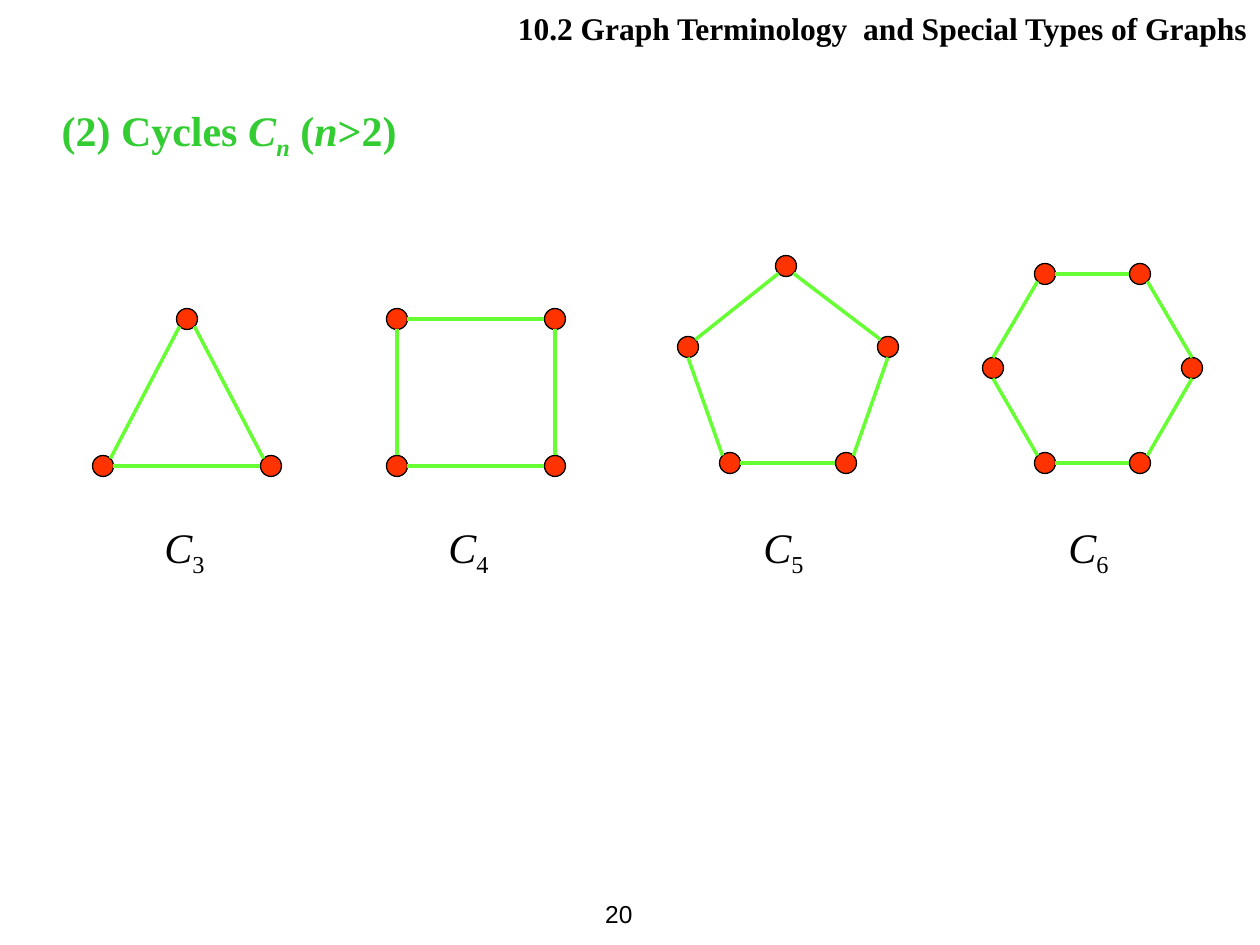
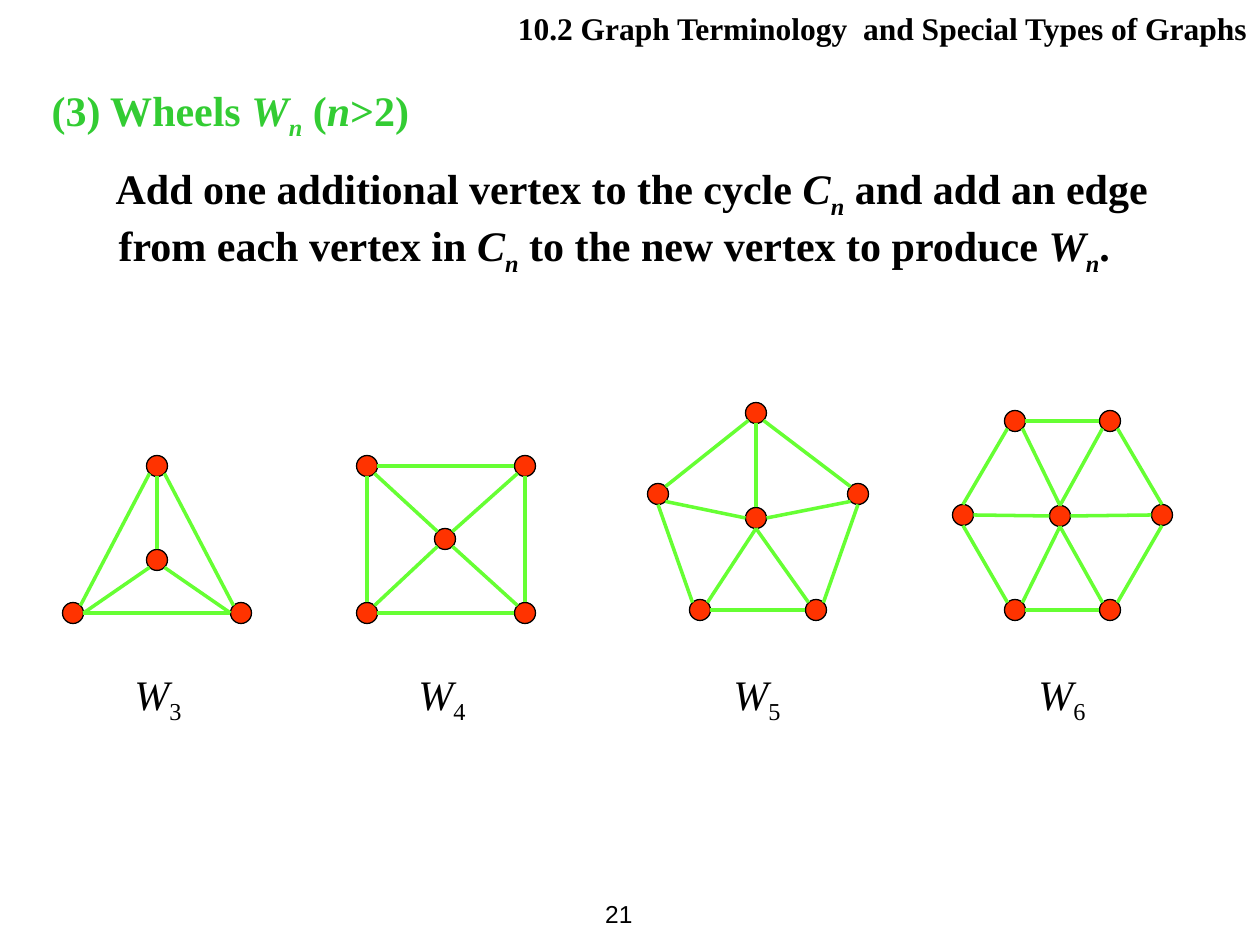
"""Build two slides on special graphs: cycles and wheels."""
from lxml.etree import SubElement
from pptx import Presentation
from pptx.dml.color import RGBColor
from pptx.enum.shapes import MSO_CONNECTOR, MSO_SHAPE
from pptx.enum.text import MSO_ANCHOR, MSO_AUTO_SIZE, PP_ALIGN
from pptx.oxml.ns import qn
from pptx.util import Emu, Pt

HEADER = "10.2 Graph Terminology  and Special Types of Graphs"
SERIF, SANS = "Times New Roman", "Arial"
BLACK, GREEN, EDGE, NODE = "000000", "33CC33", "66FF33", "FF3300"
NODE_SIZE, INDENT = 21, 67

# In texts, * switches italic and _ switches subscript.
SLIDES = [
    dict(number="20", heading="(2) Cycles *C_n_* (*n*>2)", body=None,
         box=(49, 98, 1160, 140), letter="C", label_width=94,
         shift=(0, 0), hub=False),
    dict(number="21", heading="(3) Wheels *W_n_* (*n*>2)",
         body="Add one additional vertex to the cycle *C_n_* and add an edge "
              "from each vertex in *C_n_* to the new vertex to produce *W_n_*.",
         box=(39, 78, 1160, 190), letter="W", label_width=108,
         shift=(-30, 147), hub=True),
]

# Edges run from vertex.side to vertex.side, with sides as compass points.
GRAPHS = [
    dict(label_x=152, hub=(187, 413),
         vertices=dict(bl=(103, 466), br=(271, 466), top=(187, 319)),
         rim="bl.ne-top.sw bl.e-br.w br.nw-top.se",
         spokes="bl.e-hub.sw br.w-hub.se hub.n-top.s"),
    dict(label_x=436, hub=(475, 392),
         vertices=dict(bl=(397, 466), br=(555, 466), tl=(397, 319), tr=(555, 319)),
         rim="bl.n-tl.s tl.e-tr.w tr.s-br.n bl.e-br.w",
         spokes="bl.ne-hub.sw hub.nw-tl.se hub.ne-tr.sw hub.se-br.nw"),
    dict(label_x=751, hub=(786, 371),
         vertices=dict(bl=(730, 463), br=(846, 463), left=(688, 347),
                       right=(888, 347), top=(786, 266)),
         rim="left.s-bl.nw bl.e-br.w br.ne-right.s right.nw-top.se left.ne-top.sw",
         spokes="bl.ne-hub.s br.nw-hub.s left.se-hub.w hub.e-right.sw hub.n-top.s"),
    dict(label_x=1056, hub=(1090, 369),
         vertices=dict(bl=(1045, 463), br=(1140, 463), left=(993, 368),
                       right=(1192, 368), tl=(1045, 274), tr=(1140, 274)),
         rim="left.s-bl.nw bl.e-br.w br.ne-right.s right.n-tr.se left.n-tl.sw tl.e-tr.w",
         spokes="bl.ne-hub.s br.nw-hub.s left.e-hub.w hub.e-right.w hub.n-tl.se hub.n-tr.sw"),
]
LABEL_Y, LABEL_HEIGHT = 515, 63


def px(n):
    return Emu(round(n * 914400 / 126))


def rgb(color):
    return RGBColor.from_string(color)


def place(sp, x, y, w, h):
    sp.left, sp.top, sp.width, sp.height = px(x), px(y), px(w), px(h)


def write(p, text, size=24, color=BLACK, font=SERIF, bold=False, align=PP_ALIGN.LEFT):
    p.alignment = align
    for i, part in enumerate(text.split("*")):
        for j, piece in enumerate(part.split("_")):
            if not piece:
                continue
            r = p.add_run()
            r.text = piece
            r.font.name, r.font.size, r.font.bold = font, Pt(size), bold
            r.font.italic = i % 2 == 1
            r.font.color.rgb = rgb(color)
            if j % 2:
                r.font._element.set("baseline", "-25000")


def prepare(sp, anchor=MSO_ANCHOR.TOP):
    tf = sp.text_frame
    tf.word_wrap, tf.auto_size, tf.vertical_anchor = True, MSO_AUTO_SIZE.NONE, anchor
    return tf


def add_text(s, box, text, anchor=MSO_ANCHOR.TOP, **fmt):
    sp = s.shapes.add_textbox(*map(px, box))
    write(prepare(sp, anchor).paragraphs[0], text, **fmt)


def set_indent(p, first, before=0):
    pPr = p._p.get_or_add_pPr()
    pPr.set("marL", str(px(INDENT)))
    pPr.set("indent", str(px(first)))
    SubElement(pPr, qn("a:buNone"))
    p.space_before = Pt(before)


def fill_placeholders(s, content):
    title, body = s.shapes.title, s.placeholders[1]
    place(title, 501, 3, 759, 50)
    write(prepare(title).paragraphs[0], HEADER, size=18, bold=True, align=PP_ALIGN.RIGHT)
    place(body, *content["box"])
    tf = prepare(body)
    p = tf.paragraphs[0]
    set_indent(p, -INDENT)
    write(p, content["heading"], color=GREEN, bold=True)
    if content["body"]:
        p = tf.add_paragraph()
        set_indent(p, -3, before=12)
        write(p, content["body"], bold=True)


def side_point(vertices, end):
    name, side = end.split(".")
    x, y = vertices[name]
    reach = NODE_SIZE / 2 * (0.71 if len(side) == 2 else 1)
    return (px(x + reach * (("e" in side) - ("w" in side))),
            px(y + reach * (("s" in side) - ("n" in side))))


def add_graph(s, graph, shift, hub):
    vertices, edges = dict(graph["vertices"]), graph["rim"].split()
    if hub:
        vertices["hub"] = graph["hub"]
        edges += graph["spokes"].split()
    vertices = {name: (x + shift[0], y + shift[1]) for name, (x, y) in vertices.items()}
    group = s.shapes.add_group_shape()
    for x, y in vertices.values():
        sp = group.shapes.add_shape(
            MSO_SHAPE.FLOWCHART_CONNECTOR, px(x - NODE_SIZE / 2), px(y - NODE_SIZE / 2),
            px(NODE_SIZE), px(NODE_SIZE))
        sp.shadow.inherit = False
        sp.fill.solid()
        sp.fill.fore_color.rgb = rgb(NODE)
        sp.line.color.rgb = rgb(BLACK)
        sp.line.width = Pt(0.75)
    for edge in edges:
        start, end = (side_point(vertices, e) for e in edge.split("-"))
        line = group.shapes.add_connector(MSO_CONNECTOR.STRAIGHT, *start, *end)
        line.line.color.rgb = rgb(EDGE)
        line.line.width = Pt(2)
        SubElement(line._element.spPr, qn("a:effectLst"))


def main():
    prs = Presentation()
    prs.slide_width, prs.slide_height = px(1260), px(945)
    for content in SLIDES:
        s = prs.slides.add_slide(prs.slide_layouts[1])
        fill_placeholders(s, content)
        dx, dy = content["shift"]
        for graph in GRAPHS:
            add_graph(s, graph, (dx, dy), content["hub"])
            box = (graph["label_x"] + dx, LABEL_Y + dy, content["label_width"], LABEL_HEIGHT)
            add_text(s, box, f"*{content['letter']}*_{len(graph['vertices'])}_")
        add_text(s, (561, 882, 84, 63), content["number"], anchor=MSO_ANCHOR.MIDDLE,
                 size=14, font=SANS, align=PP_ALIGN.RIGHT)
    prs.save("out.pptx")


if __name__ == "__main__":
    main()
